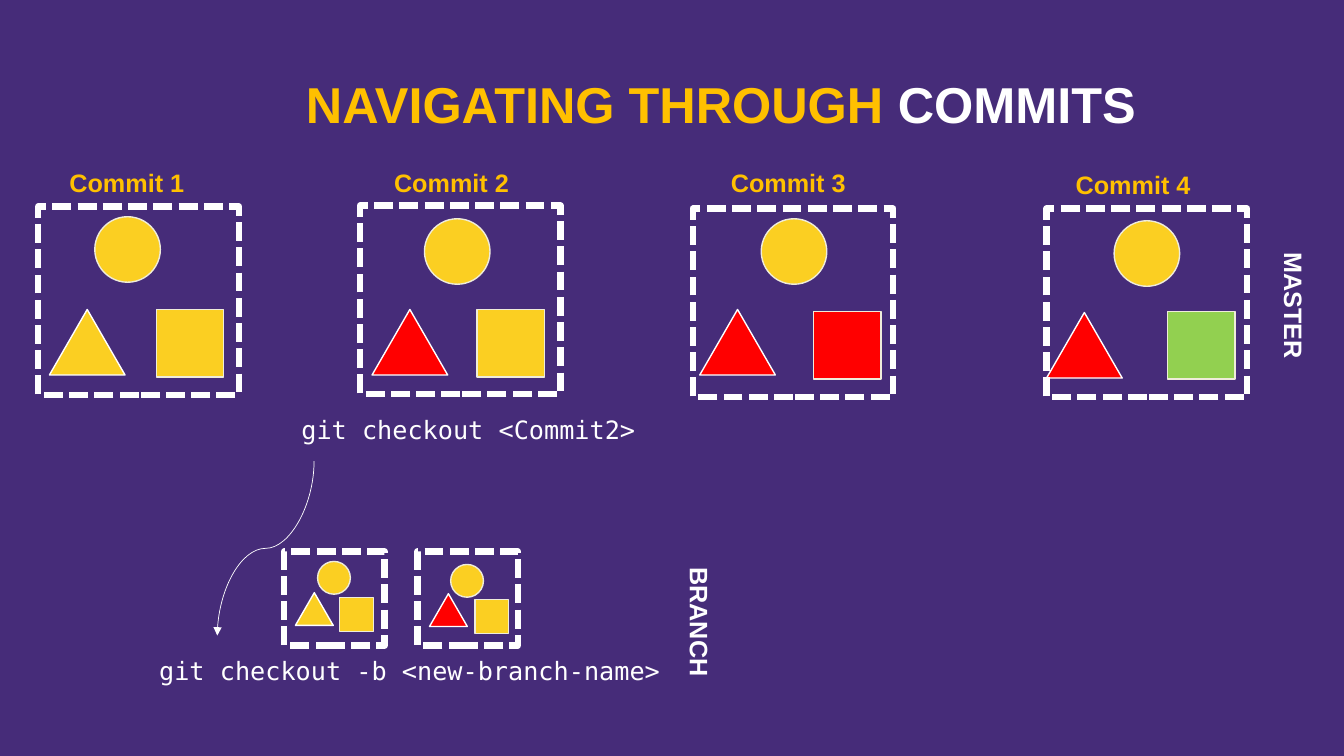
from pptx import Presentation
from pptx.dml.color import RGBColor
from pptx.enum.dml import MSO_LINE
from pptx.enum.shapes import MSO_CONNECTOR, MSO_SHAPE
from pptx.enum.text import MSO_ANCHOR, PP_ALIGN
from pptx.oxml.ns import qn
from pptx.util import Inches, Pt
from lxml import etree

THEME = {
    "bg": "462C79", "gold": "FFC000", "white": "FFFFFF", "edge": "EFECDA",
    "yellow": "FBCF22", "red": "FF0000", "green": "92D050",
    "sans": "Arial", "mono": "DejaVu Sans Mono", "title": 36, "body": 18,
}

# Content
TITLE = [("NAVIGATING THROUGH ", "gold"), ("COMMITS", "white")]

# scale, then left and top of frame, circle, triangle and square,
# then the colours of triangle and square
SNAPSHOTS = [
    (1, (0.38, 2.05), (0.94, 2.15), (0.49, 3.07), (1.55, 3.07), "yellow", "yellow"),
    (1, (3.57, 2.04), (4.21, 2.17), (3.69, 3.07), (4.73, 3.07), "red", "yellow"),
    (1, (6.87, 2.07), (7.55, 2.17), (6.94, 3.07), (8.07, 3.09), "red", "red"),
    (1, (10.38, 2.07), (11.05, 2.19), (10.38, 3.1), (11.58, 3.09), "red", "green"),
    (0.5, (2.82, 5.47), (3.15, 5.57), (2.93, 5.88), (3.37, 5.93), "yellow", "yellow"),
    (0.5, (4.14, 5.47), (4.47, 5.6), (4.26, 5.89), (4.71, 5.95), "red", "yellow"),
]

# text, left, top, width, font, colour, rotation
LABELS = [
    ("Commit 1", 0.59, 1.61, 1.35, "sans", "gold", 0),
    ("Commit 2", 3.81, 1.61, 1.35, "sans", "gold", 0),
    ("Commit 3", 7.15, 1.61, 1.35, "sans", "gold", 0),
    ("Commit 4", 10.57, 1.63, 1.35, "sans", "gold", 0),
    ("MASTER", 12.2, 2.84, 1.27, "sans", "white", 90),
    ("BRANCH", 6.29, 5.98, 1.3, "sans", "white", 90),
    ("git checkout <Commit2>", 2.89, 4.06, 3.68, "mono", "white", 0),
    ("git checkout -b <new-branch-name>", 1.48, 6.45, 5.18, "mono", "white", 0),
]

FRAME, CIRCLE, TRIANGLE, SQUARE = (1.99, 1.87), (0.65, 0.65), (0.75, 0.65), (0.67, 0.67)

prs = Presentation()
prs.slide_width, prs.slide_height = Inches(13.33), Inches(7.5)
s = prs.slides.add_slide(prs.slide_layouts[6])


def color(name):
    return RGBColor.from_string(THEME[name])


s.background.fill.solid()
s.background.fill.fore_color.rgb = color("bg")


def add_shape(kind, at, size, fill=None, line=None, width=1):
    sp = s.shapes.add_shape(kind, *map(Inches, (*at, *size)))
    sp.shadow.inherit = False
    if fill:
        sp.fill.solid()
        sp.fill.fore_color.rgb = color(fill)
    else:
        sp.fill.background()
    if line:
        sp.line.color.rgb = color(line)
        sp.line.width = Pt(width)
    else:
        sp.line.fill.background()
    return sp


def style(r, font, size, fill):
    r.font.name = THEME[font]
    r.font.size = Pt(THEME[size])
    r.font.bold = font == "sans"
    r.font.color.rgb = color(fill)


# Title
sp = add_shape(MSO_SHAPE.RECTANGLE, (2.93, 0.67), (8.44, 0.71), "bg")
tf = sp.text_frame
tf.vertical_anchor = MSO_ANCHOR.MIDDLE
p = tf.paragraphs[0]
p.alignment = PP_ALIGN.CENTER
for text, fill in TITLE:
    r = p.add_run()
    r.text = text
    style(r, "sans", "title", fill)

# Commit snapshots: three shapes inside a dashed frame
for scale, frame, circle, triangle, square, tri_fill, sq_fill in SNAPSHOTS:
    for kind, at, size, fill, line in (
        (MSO_SHAPE.OVAL, circle, CIRCLE, "yellow", "edge"),
        (MSO_SHAPE.ISOSCELES_TRIANGLE, triangle, TRIANGLE, tri_fill, "white"),
        (MSO_SHAPE.RECTANGLE, square, SQUARE, sq_fill, "edge"),
    ):
        add_shape(kind, at, [scale * side for side in size], fill, line)
    sp = add_shape(MSO_SHAPE.RECTANGLE, frame, [scale * side for side in FRAME],
                   line="white", width=4.5)
    sp.line.dash_style = MSO_LINE.SQUARE_DOT

# Labels and commands
for text, left, top, width, font, fill, rotation in LABELS:
    sp = s.shapes.add_textbox(*map(Inches, (left, top, width, 0.4)))
    sp.rotation = rotation
    tf = sp.text_frame
    tf.word_wrap = False
    tf.text = text
    style(tf.paragraphs[0].runs[0], font, "body", fill)

# Curved arrow, turned a quarter so that it leaves and arrives vertically
arrow = s.shapes.add_connector(MSO_CONNECTOR.CURVE, *map(Inches, (1.77, 4.96, 3.5, 5.92)))
arrow.line.color.rgb = color("white")
arrow.line.width = Pt(0.5)
props = arrow._element.spPr
props.find(qn("a:xfrm")).set("rot", str(90 * 60000))
etree.SubElement(props.find(qn("a:ln")), qn("a:tailEnd")).set("type", "triangle")
etree.SubElement(props, qn("a:effectLst"))

prs.save("out.pptx")
